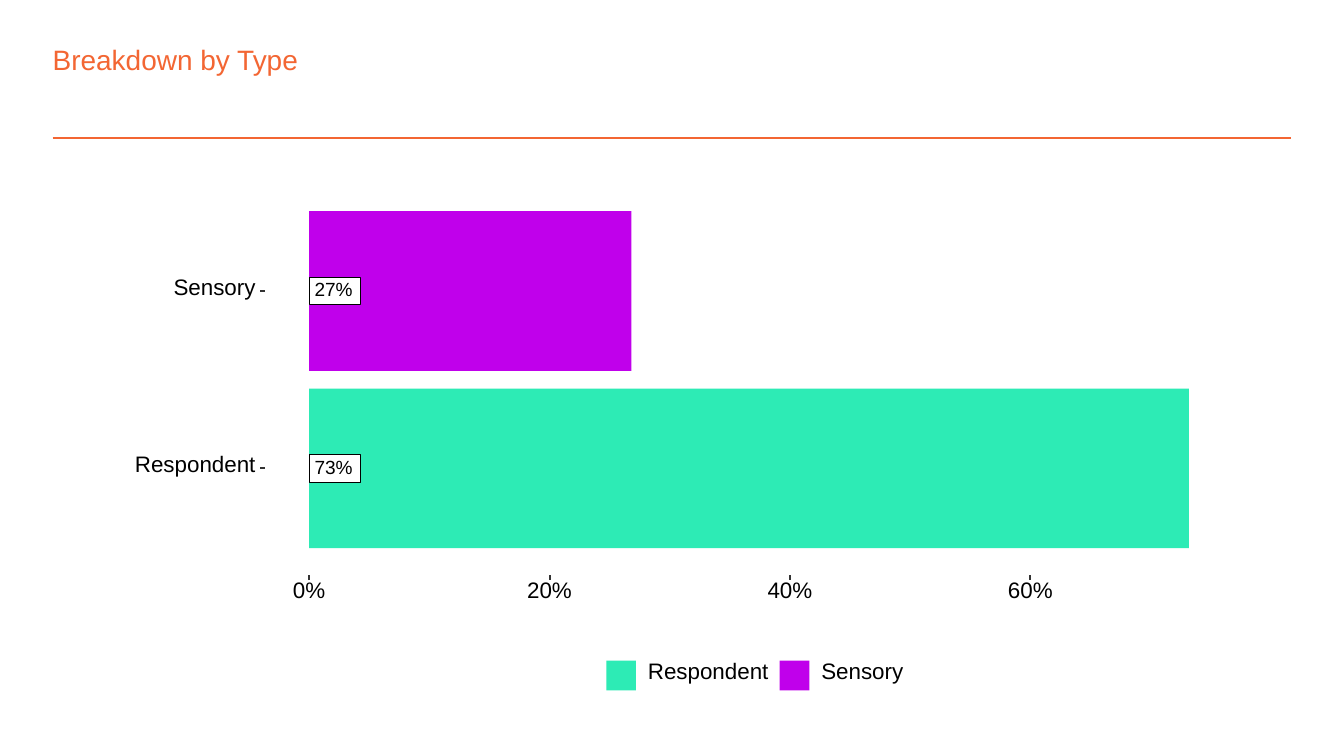
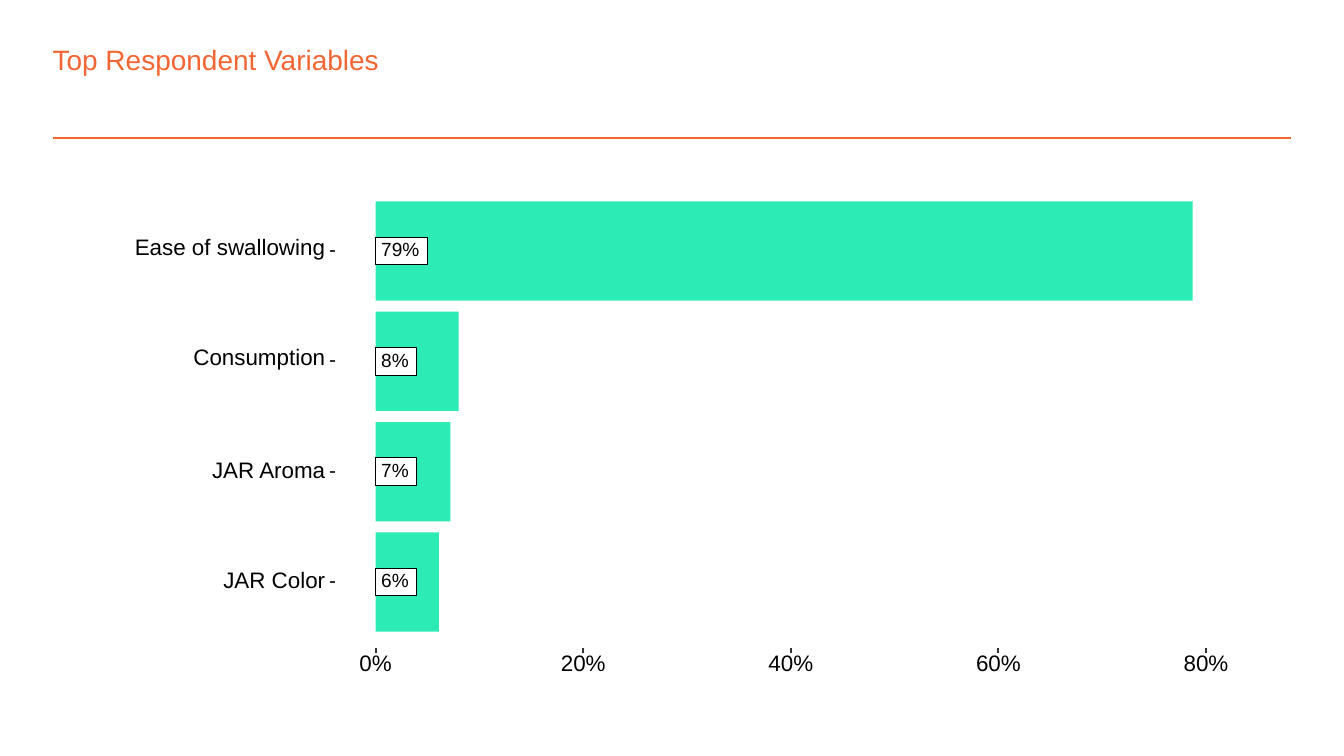
from pptx import Presentation
from pptx.dml.color import RGBColor
from pptx.enum.shapes import MSO_CONNECTOR, MSO_SHAPE
from pptx.enum.text import MSO_ANCHOR, PP_ALIGN
from pptx.oxml.ns import qn
from pptx.util import Pt
from lxml.etree import SubElement

FONT = "Arial"
ORANGE, GREEN, PURPLE = "F36633", "2DEBB5", "C000EB"
BLACK, GRAY, WHITE = "000000", "333333", "FFFFFF"
LEFT, MID, RIGHT = PP_ALIGN.LEFT, PP_ALIGN.CENTER, PP_ALIGN.RIGHT

# rows: name, width of the name, share in percent, colour
# x0: zero of the axis; tick: left end of row ticks; step: width of 20%
SLIDES = [
    dict(title="Breakdown by Type",
         rows=[("Sensory", 45, 26.8, PURPLE),
               ("Respondent", 65.5, 73.2, GREEN)],
         x0=165.6, tick=139.3, step=128.8, marks=4,
         top=113.2, bar=85.5, pitch=95, axis=308.1, legend=True),
    dict(title="Top Respondent Variables",
         rows=[("Ease of swallowing", 105, 78.7, GREEN),
               ("Consumption", 73, 8, GREEN),
               ("JAR Aroma", 63, 7.2, GREEN),
               ("JAR Color", 57, 6.1, GREEN)],
         x0=201.3, tick=176.6, step=111.2, marks=5,
         top=107.9, bar=53.2, pitch=59.1, axis=347.1, legend=False),
]
TICK = 2.75


def color(code):
    return RGBColor.from_string(code)


def rect(slide, x, y, w, h, fill, edge=None, weight=1.07):
    box = slide.shapes.add_shape(MSO_SHAPE.RECTANGLE, Pt(x), Pt(y), Pt(w), Pt(h))
    box.shadow.inherit = False
    box.fill.solid()
    box.fill.fore_color.rgb = color(fill)
    if edge:
        box.line.color.rgb = color(edge)
        box.line.width = Pt(weight)
    else:
        box.line.fill.background()


def line(slide, x1, y1, x2, y2, code=GRAY, weight=1.07):
    rule = slide.shapes.add_connector(
        MSO_CONNECTOR.STRAIGHT, Pt(x1), Pt(y1), Pt(x2), Pt(y2))
    rule.line.color.rgb = color(code)
    rule.line.width = Pt(weight)
    SubElement(rule._element.spPr, qn("a:effectLst"))


def write(slide, text, x, y, w, h, size, code=BLACK, align=LEFT):
    box = slide.shapes.add_textbox(Pt(x), Pt(y), Pt(w), Pt(h))
    frame = box.text_frame
    frame.margin_left = frame.margin_right = 0
    frame.margin_top = frame.margin_bottom = 0
    para = frame.paragraphs[0]
    para.text = text
    para.alignment = align
    para.font.name = FONT
    para.font.size = Pt(size)
    para.font.color.rgb = color(code)
    return frame


def label(slide, text, x, mid, w, size=12, align=LEFT):
    """One tight line centred on mid, raised if letters hang below the line."""
    deep = any(c in "gpqy" for c in text)
    h = size * (0.93 if deep else 0.75)
    y = mid - h / 2 - (1.3 if deep else 0)
    frame = write(slide, text, x, y, w, h, size, align=align)
    frame.word_wrap = False
    frame.vertical_anchor = MSO_ANCHOR.MIDDLE
    frame.paragraphs[0].line_spacing = Pt(size)


def span(text, size):
    """Width of a percentage such as 27%, with a little room to spare."""
    return size * (0.556 * (len(text) - 1) + 0.889) + 0.3


def badge(slide, text, x, mid):
    w = span(text, 10.2)
    rect(slide, x, mid - 7.35, w + 7, 14.7, WHITE, BLACK, 0.53)
    label(slide, text, x + 2.9, mid, w, 10.2)


def legend(slide, rows):
    rect(slide, 313.2, 347.8, 176.4, 28.1, WHITE, WHITE)
    x, mid, key, swatch = 324.1, 361.9, 17.3, 15.9
    for name, w, _, code in rows:
        for side, fill, edge in ((key, WHITE, WHITE), (swatch, code, None)):
            rect(slide, x + (key - side) / 2, mid - side / 2, side, side, fill, edge)
        label(slide, name, x + 23, mid, w)
        x += 23 + w + 4.4


def chart(slide, rows, x0, tick, step, marks, top, bar, pitch, axis):
    rect(slide, 54, 93.6, 612, 288, WHITE, WHITE)
    mids = [top + bar / 2 + i * pitch for i in range(len(rows))]
    for mid, (name, w, share, code) in zip(mids, rows):
        rect(slide, x0, mid - bar / 2, share / 20 * step, bar, code)
        badge(slide, f"{share:.0f}%", x0, mid)
        label(slide, name, tick - 2.3 - w, mid, w, align=RIGHT)
        line(slide, tick, mid, tick + TICK, mid)
    for i in range(marks):
        x, text = x0 + i * step, f"{20 * i}%"
        w = span(text, 12)
        line(slide, x, axis + TICK, x, axis)
        label(slide, text, x - w / 2, axis + 9, w, align=MID)


def main():
    deck = Presentation()
    deck.slide_width, deck.slide_height = Pt(720), Pt(405)
    for page in SLIDES:
        plot = dict(page)
        title, keyed = plot.pop("title"), plot.pop("legend")
        slide = deck.slides.add_slide(deck.slide_layouts[6])
        line(slide, 28.2, 74, 691.8, 74, ORANGE, 1)
        write(slide, title, 28.2, 23, 597, 18, 15, ORANGE).word_wrap = True
        chart(slide, **plot)
        if keyed:
            legend(slide, page["rows"][::-1])
    deck.save("out.pptx")


if __name__ == "__main__":
    main()
